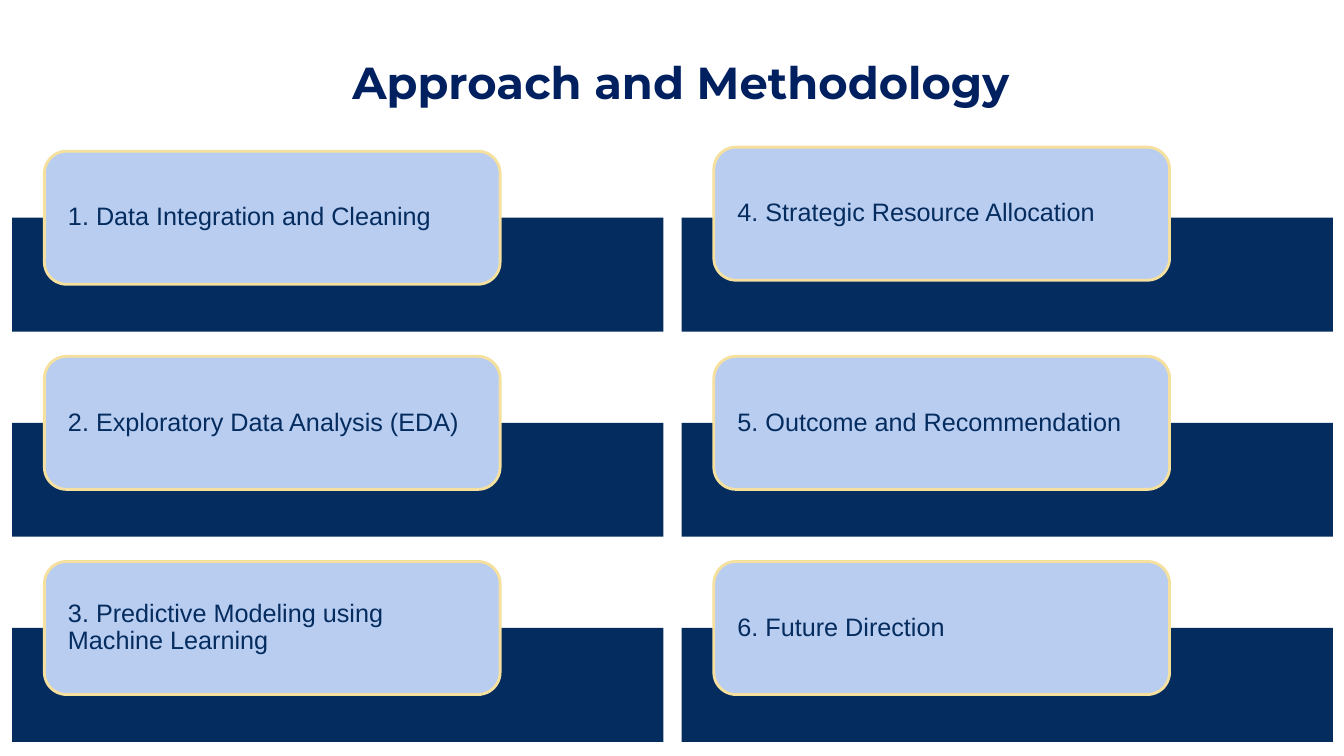
from dataclasses import dataclass

from pptx import Presentation
from pptx.dml.color import RGBColor
from pptx.enum.shapes import MSO_SHAPE
from pptx.enum.text import MSO_ANCHOR, PP_ALIGN
from pptx.util import Inches, Pt

RECTANGLE = MSO_SHAPE.RECTANGLE
ROUNDED = MSO_SHAPE.ROUNDED_RECTANGLE
MIDDLE, BOTTOM = MSO_ANCHOR.MIDDLE, MSO_ANCHOR.BOTTOM
LEFT, CENTER = PP_ALIGN.LEFT, PP_ALIGN.CENTER


@dataclass(frozen=True)
class Theme:
    navy: RGBColor = RGBColor(0x04, 0x2C, 0x5E)
    title: RGBColor = RGBColor(0x00, 0x20, 0x60)
    card: RGBColor = RGBColor(0xB9, 0xCD, 0xF1)
    border: RGBColor = RGBColor(0xF5, 0xE0, 0x9E)
    title_font: str = "Montserrat"
    body_font: str = "Arial"
    title_size: int = 32
    body_size: int = 18
    border_width: int = 2


THEME = Theme()

# Grid, in inches
GRID_LEFT, GRID_TOP = 0.12, 2.16
COLUMN_PITCH, ROW_PITCH = 6.64, 2.035
BAR_WIDTH, BAR_HEIGHT = 6.46, 1.13
CARD_WIDTH, CARD_HEIGHT = 4.52, 1.32
CARD_INDENT, CARD_RISE = 0.32, 0.66
RAISED_CARD, EXTRA_RISE = (1, 0), 0.04

COLUMNS = [
    [
        "1. Data Integration and Cleaning",
        "2. Exploratory Data Analysis (EDA)",
        "3. Predictive Modeling using Machine Learning",
    ],
    [
        "4. Strategic Resource Allocation",
        "5. Outcome and Recommendation",
        "6. Future Direction",
    ],
]


def add_block(slide, kind, left, top, width, height, fill):
    shape = slide.shapes.add_shape(
        kind, Inches(left), Inches(top), Inches(width), Inches(height))
    shape.shadow.inherit = False
    shape.fill.solid()
    shape.fill.fore_color.rgb = fill
    shape.line.fill.background()
    return shape


def write_text(shape, text, anchor, alignment, insets, font, size, color, bold=False):
    frame = shape.text_frame
    frame.word_wrap = True
    frame.vertical_anchor = anchor
    frame.margin_left = frame.margin_right = Inches(insets[0])
    frame.margin_top = frame.margin_bottom = Inches(insets[1])
    paragraph = frame.paragraphs[0]
    paragraph.alignment = alignment
    run = paragraph.add_run()
    run.text = text
    run.font.name = font
    run.font.size = Pt(size)
    run.font.bold = bold
    run.font.color.rgb = color
    return paragraph


presentation = Presentation()
presentation.slide_width = Inches(13.33)
presentation.slide_height = Inches(7.5)
slide = presentation.slides.add_slide(presentation.slide_layouts[6])

# Steps: a bar with a card over it, three rows in two columns
for column, steps in enumerate(COLUMNS):
    for row, step in enumerate(steps):
        left = GRID_LEFT + column * COLUMN_PITCH
        top = GRID_TOP + row * ROW_PITCH
        add_block(slide, RECTANGLE, left, top, BAR_WIDTH, BAR_HEIGHT, THEME.navy)

        rise = CARD_RISE + (EXTRA_RISE if (column, row) == RAISED_CARD else 0)
        card = add_block(slide, ROUNDED, left + CARD_INDENT, top - rise,
                         CARD_WIDTH, CARD_HEIGHT, THEME.card)
        card.line.color.rgb = THEME.border
        card.line.width = Pt(THEME.border_width)
        paragraph = write_text(card, step, MIDDLE, LEFT, (0.17, 0),
                               THEME.body_font, THEME.body_size, THEME.navy)
        paragraph.line_spacing = 0.9

# Title
title = slide.shapes.add_textbox(Inches(3.22), Inches(0.11), Inches(7.07), Inches(1.1))
write_text(title, "Approach and Methodology", BOTTOM, CENTER, (0.13, 0.13),
           THEME.title_font, THEME.title_size, THEME.title, bold=True)

presentation.save("out.pptx")
